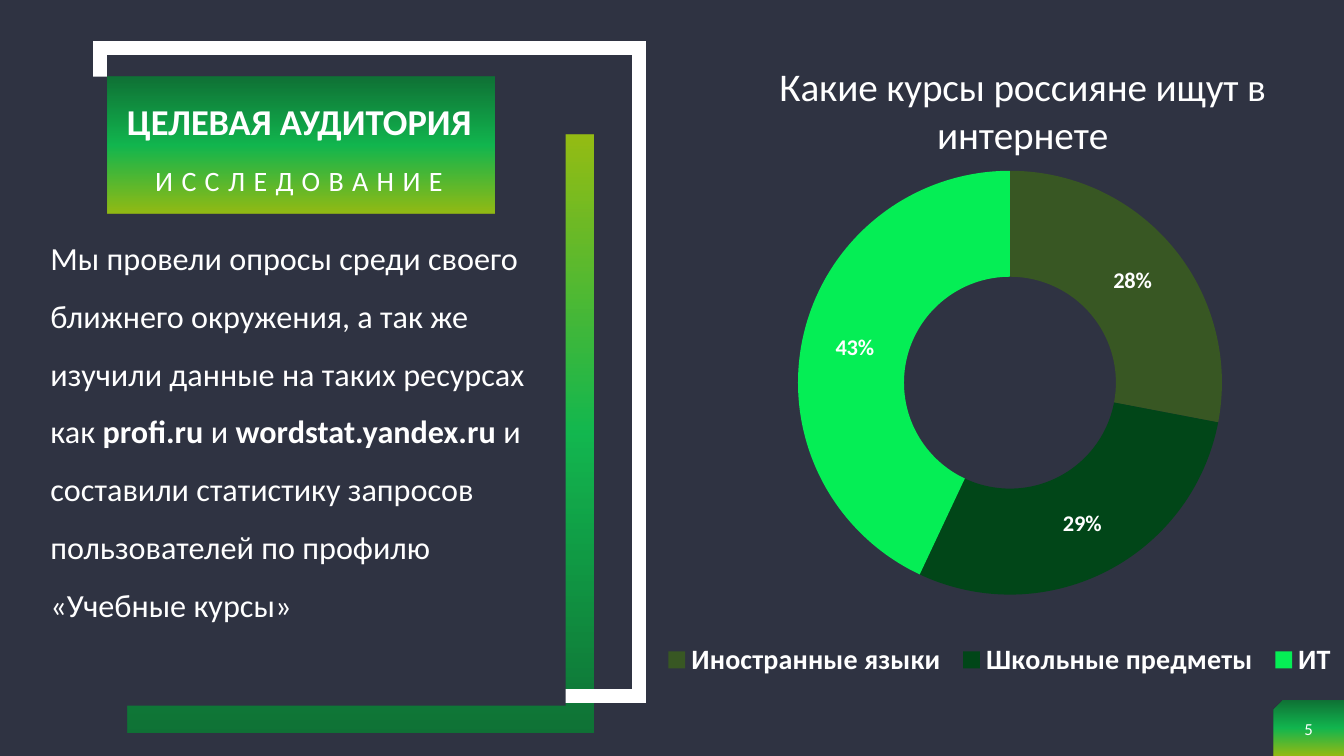
import pptx
import pptx.chart.data
import pptx.dml.color
import pptx.enum.chart
import pptx.enum.shapes
import pptx.enum.text
import pptx.oxml
import pptx.oxml.ns
import pptx.util
from lxml import etree

Inches, Pt = pptx.util.Inches, pptx.util.Pt
RGBColor = pptx.dml.color.RGBColor
SHAPE = pptx.enum.shapes.MSO_SHAPE
ALIGN = pptx.enum.text.PP_ALIGN
ANCHOR = pptx.enum.text.MSO_ANCHOR
qn = pptx.oxml.ns.qn

FONT = "Calibri"
WHITE = RGBColor(0xFF, 0xFF, 0xFF)
BACKGROUND = RGBColor(0x2F, 0x33, 0x42)
GRADIENT = [
    (0, RGBColor(0x03, 0x8B, 0x30)),
    (50, RGBColor(0x05, 0xEE, 0x55)),
    (100, RGBColor(0xC0, 0xF4, 0x00)),
]
GRADIENT_OPACITY = 70

TITLE = [("ЦЕЛЕВАЯ АУДИТОРИЯ", True)]
SUBTITLE = [("ИССЛЕДОВАНИЕ", False)]
BODY = [
    ("Мы провели опросы среди своего ближнего окружения, а так же изучили "
     "данные на таких ресурсах как ", False),
    ("profi.ru ", True),
    ("и ", False),
    ("wordstat.yandex.ru ", True),
    ("и составили статистику запросов пользователей по профилю "
     "«Учебные курсы»", False),
]
PAGE_NUMBER = "5"
CHART_TITLE = "Какие курсы россияне ищут в интернете"
COURSES = [
    ("Иностранные языки", 28, RGBColor(0x38, 0x57, 0x23)),
    ("Школьные предметы", 29, RGBColor(0x01, 0x46, 0x18)),
    ("ИТ", 43, RGBColor(0x05, 0xEE, 0x55)),
]

# Left, top, width, height in inches
PAGE_TAB = (12.63, 6.95, 0.7, 0.55)
PAGE_NUMBER_BOX = (12.63, 7.01, 0.7, 0.45)
GREEN_PANEL = (1.27, 1.34, 4.62, 5.93)
WHITE_FRAME = (0.99, 0.48, 5.35, 6.43)
FRAME_MASK = (0.72, 0.76, 4.89, 6.24)
TITLE_PLATE = (1.07, 0.76, 3.83, 1.36)
TITLE_BOX = (0.66, 0.91, 4.62, 0.63)
SUBTITLE_BOX = (0.67, 1.61, 4.59, 0.45)
BODY_BOX = (0.5, 2.12, 4.78, 4.22)
CHART_BOX = (6.5, 0.53, 6.83, 6.47)

# Fractions of the chart box
TITLE_LAYOUT = {"x": 0.17, "y": 0}
PLOT_LAYOUT = {"x": 0.14, "y": 0.18, "w": 0.75, "h": 0.65}
LEGEND_LAYOUT = {"x": 0, "y": 0.89, "w": 1, "h": 0.08}


def inches(box):
    return [Inches(length) for length in box]


def set_font(font, **values):
    font.name = FONT
    font.color.rgb = WHITE
    for name, value in values.items():
        setattr(font, name, value)


def fill_gradient(shape, angle):
    """Fill with the translucent theme gradient, which python-pptx cannot set."""
    properties = shape._element.spPr
    gradient = etree.Element(qn("a:gradFill"), rotWithShape="1")
    stops = etree.SubElement(gradient, qn("a:gsLst"))
    for position, color in GRADIENT:
        stop = etree.SubElement(stops, qn("a:gs"), pos=str(position * 1000))
        value = etree.SubElement(stop, qn("a:srgbClr"), val=str(color))
        etree.SubElement(value, qn("a:alpha"), val=str(GRADIENT_OPACITY * 1000))
    etree.SubElement(gradient, qn("a:lin"), ang=str(angle * 60000), scaled="0")
    properties.find(qn("a:prstGeom")).addnext(gradient)


def add_panel(slide, box, kind=SHAPE.RECTANGLE, angle=None, fill=None, line=None):
    shape = slide.shapes.add_shape(kind, *inches(box))
    shape.shadow.inherit = False
    if angle is not None:
        fill_gradient(shape, angle)
    elif fill is not None:
        shape.fill.solid()
        shape.fill.fore_color.rgb = fill
    else:
        shape.fill.background()
    if line is not None:
        shape.line.color.rgb = WHITE
        shape.line.width = Pt(line)
        outline = shape._element.spPr.find(qn("a:ln"))
        etree.SubElement(outline, qn("a:miter"), lim="800000")
    else:
        shape.line.fill.background()
    return shape


def fill_placeholder(slide, shape, box, runs, size, frame_format, paragraph_format):
    slide.shapes._spTree.append(shape._element)  # bring above the panels
    shape.left, shape.top, shape.width, shape.height = inches(box)
    frame = shape.text_frame
    frame_format = {
        "word_wrap": True,
        "auto_size": pptx.enum.text.MSO_AUTO_SIZE.NONE,
        "margin_left": 0,
        "margin_right": 0,
        **frame_format,
    }
    for name, value in frame_format.items():
        setattr(frame, name, value)
    paragraph = frame.paragraphs[0]
    properties = paragraph._p.get_or_add_pPr()
    properties.set("marL", "0")
    properties.set("indent", "0")
    etree.SubElement(properties, qn("a:buNone"))
    paragraph_format = {"space_before": Pt(0), **paragraph_format}
    for name, value in paragraph_format.items():
        setattr(paragraph, name, value)
    for text, bold in runs:
        run = paragraph.add_run()
        run.text = text
        set_font(run.font, size=Pt(size), bold=bold)
    return paragraph


def add_page_number(slide):
    frame = slide.shapes.add_textbox(*inches(PAGE_NUMBER_BOX)).text_frame
    frame.word_wrap = True
    frame.vertical_anchor = ANCHOR.MIDDLE
    paragraph = frame.paragraphs[0]
    paragraph.alignment = ALIGN.CENTER
    run = paragraph.add_run()
    run.text = PAGE_NUMBER
    set_font(run.font, size=Pt(12))


def set_layout(element, values, following, target=None):
    """Place a chart part by hand, ahead of its child named following."""
    for old in element.findall(qn("c:layout")):
        element.remove(old)
    layout = etree.Element(qn("c:layout"))
    manual = etree.SubElement(layout, qn("c:manualLayout"))
    if target:
        etree.SubElement(manual, qn("c:layoutTarget"), val=target)
    for axis in ("x", "y"):
        etree.SubElement(manual, qn(f"c:{axis}Mode"), val="edge")
    for name, value in values.items():
        etree.SubElement(manual, qn(f"c:{name}"), val=str(value))
    element.find(qn(following)).addprevious(layout)


def add_course_chart(slide):
    data = pptx.chart.data.CategoryChartData()
    data.categories = [name for name, _, _ in COURSES]
    data.add_series("Series 1", [value for _, value, _ in COURSES])
    kind = pptx.enum.chart.XL_CHART_TYPE.DOUGHNUT
    chart = slide.shapes.add_chart(kind, *inches(CHART_BOX), data).chart
    set_font(chart.font, size=Pt(10))

    chart.has_title = True
    title = chart.chart_title
    title.include_in_layout = False
    run = title.text_frame.paragraphs[0].add_run()
    run.text = CHART_TITLE
    set_font(run.font, size=Pt(28), bold=False)
    set_layout(title._element, TITLE_LAYOUT, "c:overlay")

    chart.has_legend = True
    legend = chart.legend
    legend.position = pptx.enum.chart.XL_LEGEND_POSITION.BOTTOM
    legend.include_in_layout = False
    set_font(legend.font, size=Pt(20), bold=True)
    set_layout(legend._element, LEGEND_LAYOUT, "c:overlay")

    plot = chart.plots[0]
    plot.vary_by_categories = True
    plot._element.find(qn("c:holeSize")).set("val", "70")
    set_layout(plot._element.getparent(), PLOT_LAYOUT, "c:doughnutChart", "inner")
    for index, (_, _, color) in enumerate(COURSES):
        point_format = plot.series[0].points[index].format
        point_format.fill.solid()
        point_format.fill.fore_color.rgb = color
        point_format.line.fill.background()
    plot.has_data_labels = True
    labels = plot.data_labels
    label_format = {"show_percentage": True, "show_value": False,
                    "number_format": "0%", "number_format_is_linked": False}
    for name, value in label_format.items():
        setattr(labels, name, value)
    set_font(labels.font, size=Pt(16), bold=True)


def main():
    presentation = pptx.Presentation()
    presentation.slide_width, presentation.slide_height = Inches(13.33), Inches(7.5)
    slide = presentation.slides.add_slide(presentation.slide_layouts[3])
    slide.background.fill.solid()
    slide.background.fill.fore_color.rgb = BACKGROUND
    title, body, subtitle = slide.placeholders

    tab = add_panel(slide, PAGE_TAB, SHAPE.SNIP_1_RECTANGLE, angle=90)
    tab._element.spPr.find(qn("a:xfrm")).set("flipH", "1")
    add_panel(slide, GREEN_PANEL, angle=270)
    add_panel(slide, WHITE_FRAME, line=10)
    add_panel(slide, FRAME_MASK, fill=BACKGROUND)
    fill_placeholder(slide, body, BODY_BOX, BODY, 23,
                     {"vertical_anchor": ANCHOR.TOP}, {"line_spacing": 1.5})
    add_course_chart(slide)
    add_panel(slide, TITLE_PLATE, angle=90)
    add_page_number(slide)
    heading = {"alignment": ALIGN.CENTER, "line_spacing": 0.9}
    fill_placeholder(slide, title, TITLE_BOX, TITLE, 26,
                     {"vertical_anchor": ANCHOR.MIDDLE}, heading)
    paragraph = fill_placeholder(slide, subtitle, SUBTITLE_BOX, SUBTITLE, 20,
                                 {"vertical_anchor": ANCHOR.TOP}, heading)
    paragraph.runs[0]._r.get_or_add_rPr().set("spc", "600")
    presentation.save("out.pptx")


if __name__ == "__main__":
    main()
